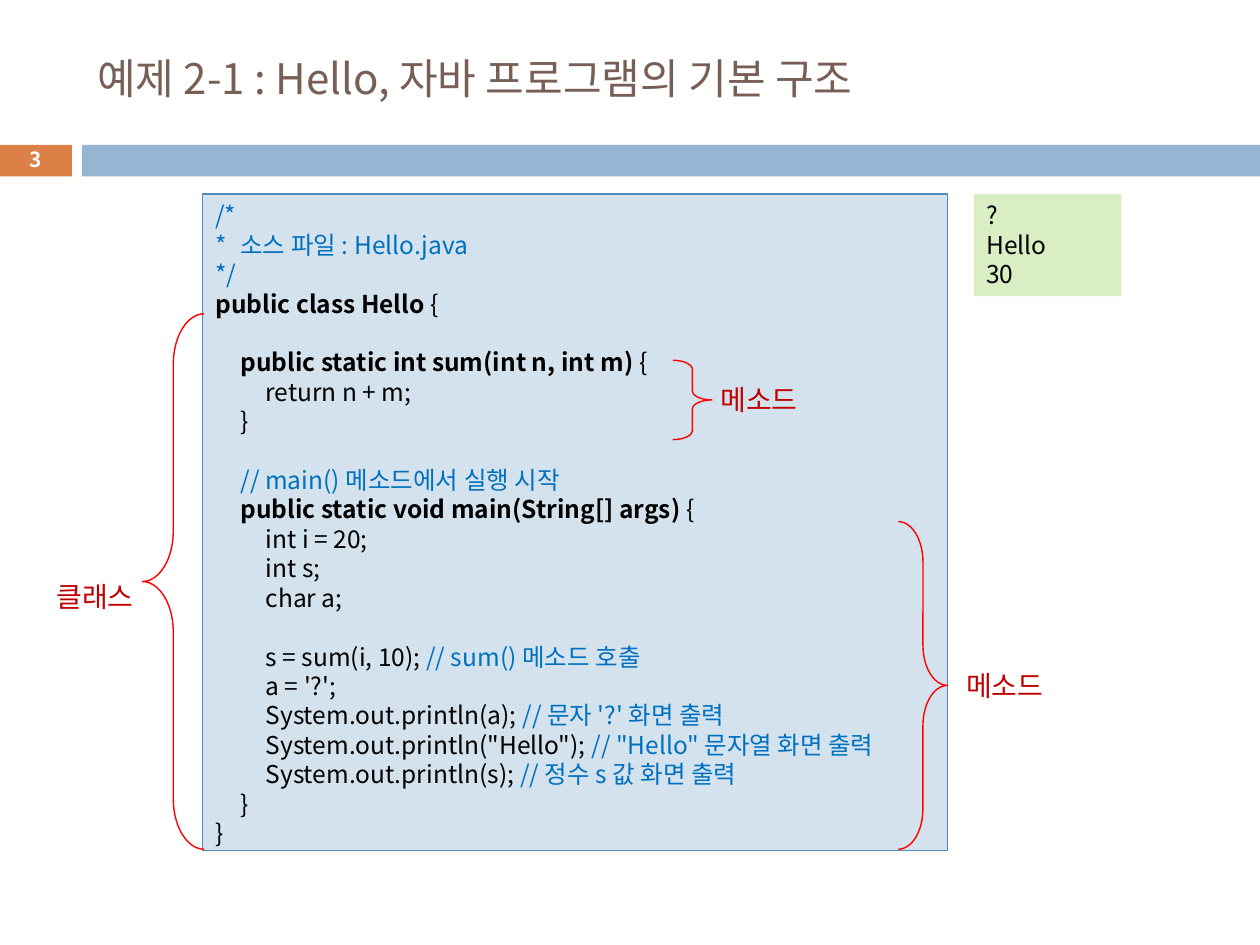
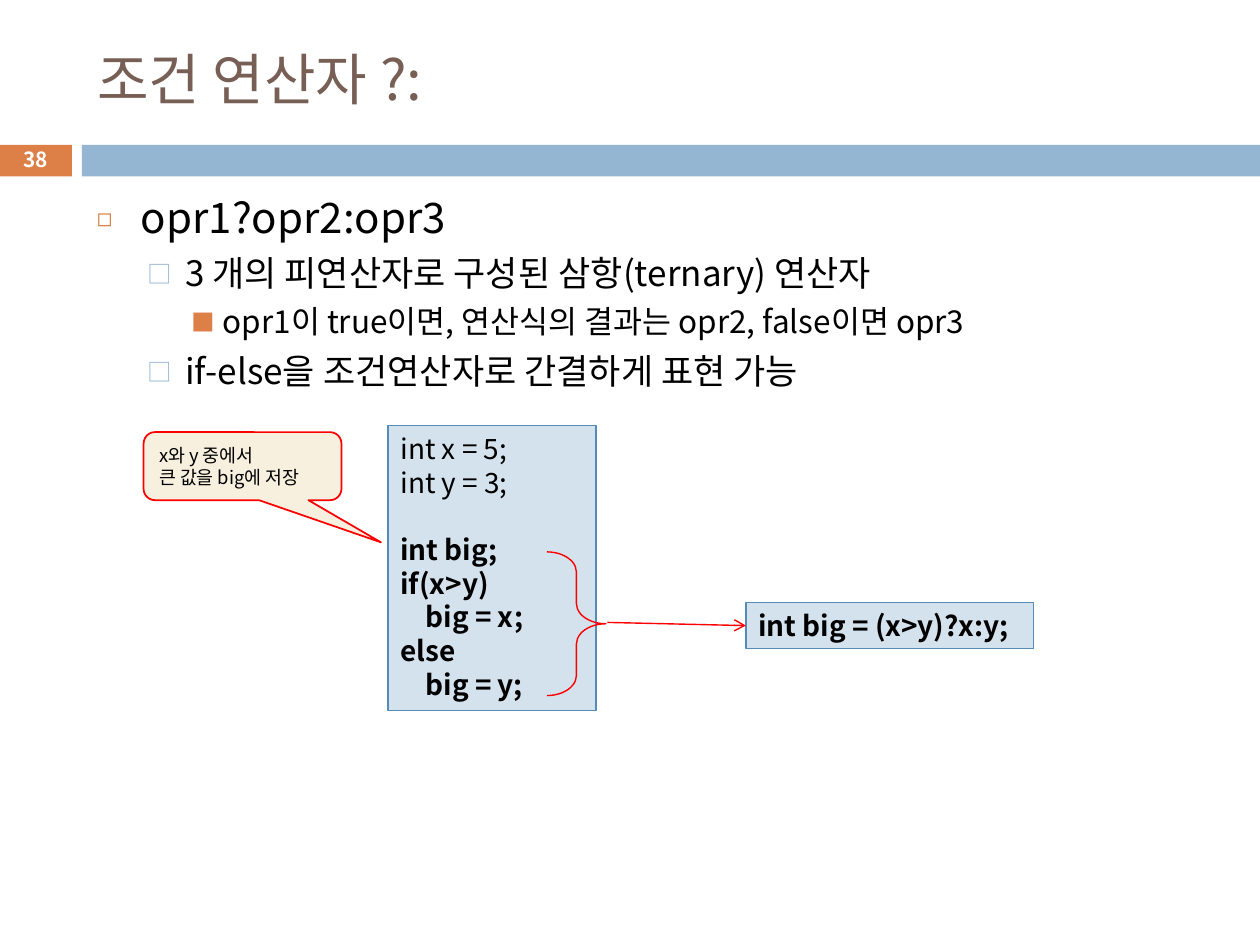
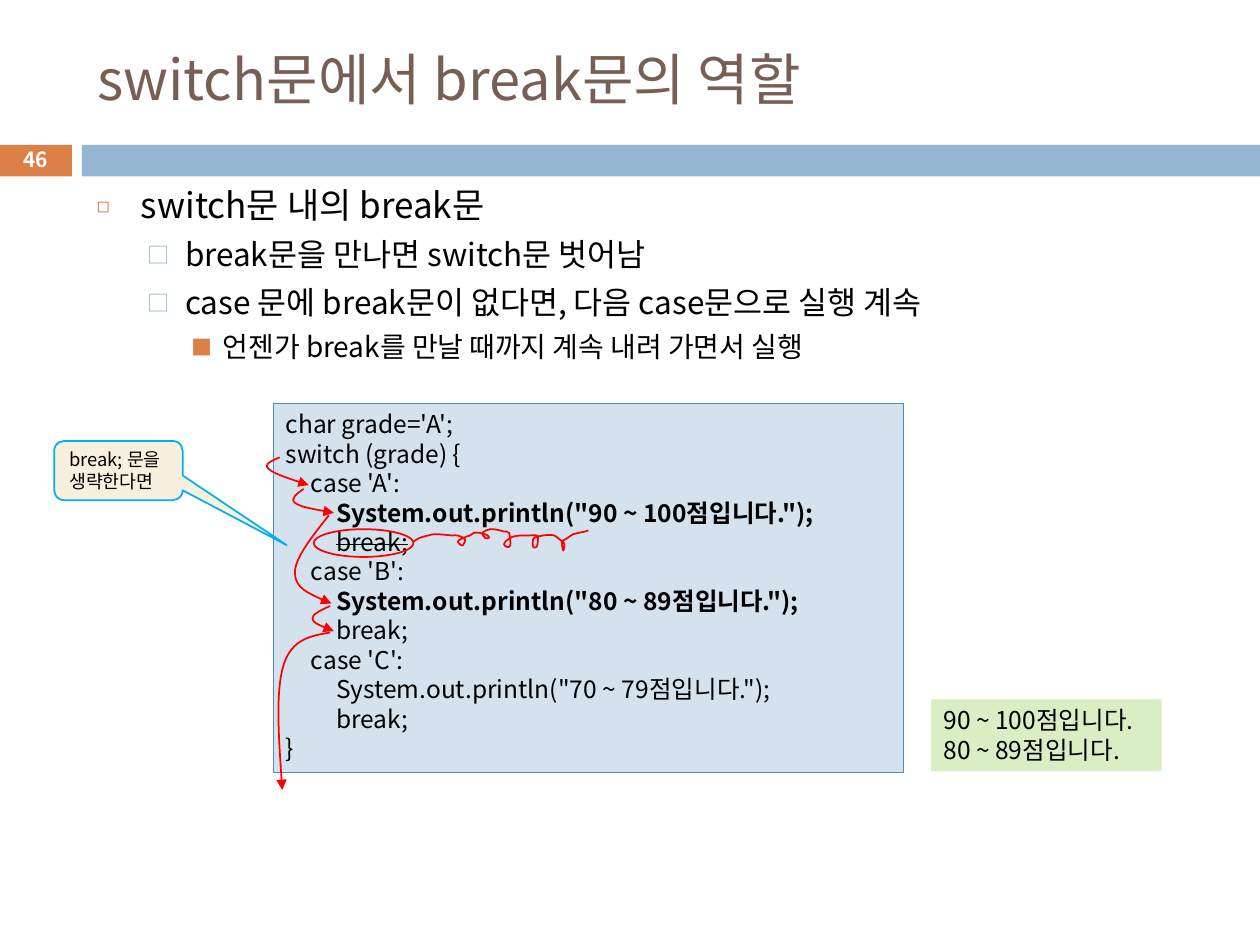
from dataclasses import dataclass
from typing import NamedTuple, Optional, Sequence, Union

from lxml.etree import SubElement
from pptx import Presentation
from pptx.dml.color import RGBColor
from pptx.enum.shapes import MSO_CONNECTOR as Connector, MSO_SHAPE as Shape
from pptx.enum.text import MSO_ANCHOR as Anchor, MSO_AUTO_SIZE as AutoSize, PP_ALIGN as Align
from pptx.oxml.ns import qn
from pptx.util import Inches, Pt

FONT = "Noto Sans CJK KR"
BLACK, WHITE, RED, SKY = "000000", "FFFFFF", "FF0000", "00B0F0"
ORANGE, BAND_BLUE, TITLE_BROWN = "DD8047", "94B6D2", "775F55"
CODE_FILL, CODE_EDGE, OUTPUT_FILL, CALLOUT_FILL = "D4E2ED", "558BB8", "DAEEC4", "F7F0DE"
COMMENT_BLUE, LABEL_RED = "0070C0", "C00000"
TAB_STEP = 0.2
LINE_HEIGHT = 1.2


class Piece(NamedTuple):
    text: str
    color: str = BLACK
    bold: bool = False
    strike: bool = False


Line = Union[str, Sequence[Piece]]


class Box(NamedTuple):
    left: float
    top: float
    width: float
    height: float


class Level(NamedTuple):
    indent: float
    hanging: float
    space: float
    bullet: str
    color: str
    percent: int


class Point(NamedTuple):
    level: int
    size: float
    text: str


@dataclass
class Brace:
    box: Box
    curve: float
    kind: Shape = Shape.RIGHT_BRACE
    rotation: float = 0


@dataclass
class Callout:
    box: Box
    tip: tuple[float, float]
    edge: str
    lines: Sequence[str]


LEVELS = [
    Level(0.35, 0.35, 7, "◻", ORANGE, 60),
    Level(0.7, 0.3, 5.5, "□", BAND_BLUE, 70),
    Level(1, 0.25, 5, "■", ORANGE, 75),
]


def rgb(value: str) -> RGBColor:
    return RGBColor.from_string(value)


def note(text: str) -> Piece:
    return Piece(text, COMMENT_BLUE)


def strong(text: str) -> Piece:
    return Piece(text, bold=True)


def emu(box: Box) -> list:
    return [Inches(length) for length in box]


def add_piece(paragraph, piece: Piece, size: float) -> None:
    run = paragraph.add_run()
    run.text = piece.text
    run.font.size = Pt(size)
    run.font.name = FONT
    run.font.bold = piece.bold
    run.font.color.rgb = rgb(piece.color)
    properties = run._r.get_or_add_rPr()
    properties.set("kern", "0")
    SubElement(properties, qn("a:ea")).set("typeface", FONT)
    if piece.strike:
        properties.set("strike", "sngStrike")


def set_tabs(paragraph) -> None:
    stops = SubElement(paragraph._p.get_or_add_pPr(), qn("a:tabLst"))
    for number in (1, 2):
        stop = SubElement(stops, qn("a:tab"))
        stop.set("pos", str(Inches(TAB_STEP * number)))
        stop.set("algn", "l")


def write(frame, lines: Sequence[Line], size: float, align: Align = Align.LEFT,
          anchor: Anchor = Anchor.TOP) -> None:
    frame.word_wrap = True
    frame.vertical_anchor = anchor
    skipped = 0
    paragraph = frame.paragraphs[0]
    for index, line in enumerate(lines):
        if not line:
            skipped += 1
            continue
        if index:
            paragraph = frame.add_paragraph()
        paragraph.alignment = align
        if skipped:
            paragraph.space_before = Pt(skipped * size * LINE_HEIGHT)
            skipped = 0
        pieces = [Piece(line)] if isinstance(line, str) else line
        if any("\t" in piece.text for piece in pieces):
            set_tabs(paragraph)
        for piece in pieces:
            add_piece(paragraph, piece, size)


def paint(shape, fill: Optional[str] = None, edge: Optional[str] = None, width: float = 1) -> None:
    shape.shadow.inherit = False
    if fill:
        shape.fill.solid()
        shape.fill.fore_color.rgb = rgb(fill)
    else:
        shape.fill.background()
    if edge:
        shape.line.color.rgb = rgb(edge)
        shape.line.width = Pt(width)
    else:
        shape.line.fill.background()


def add_panel(slide, box: Box, fill: Optional[str] = None, edge: Optional[str] = None,
              width: float = 1, kind: Shape = Shape.RECTANGLE):
    panel = slide.shapes.add_shape(kind, *emu(box))
    paint(panel, fill, edge, width)
    return panel


def add_code(slide, box: Box, lines: Sequence[Line], size: float):
    panel = add_panel(slide, box, CODE_FILL, CODE_EDGE, 0.75)
    write(panel.text_frame, lines, size)
    return panel


def add_output(slide, box: Box, lines: Sequence[str]) -> None:
    write(add_panel(slide, box, OUTPUT_FILL).text_frame, lines, 14)


def add_label(slide, box: Box, text: str) -> None:
    frame = slide.shapes.add_textbox(*emu(box)).text_frame
    write(frame, [[Piece(text, LABEL_RED)]], 16)
    frame.word_wrap = False
    frame.auto_size = AutoSize.SHAPE_TO_FIT_TEXT


def add_brace(slide, brace: Brace) -> None:
    shape = add_panel(slide, brace.box, edge=RED, width=0.79, kind=brace.kind)
    shape.adjustments[0] = brace.curve
    shape.rotation = brace.rotation


def add_callout(slide, callout: Callout) -> None:
    shape = add_panel(slide, callout.box, CALLOUT_FILL, callout.edge,
                      kind=Shape.ROUNDED_RECTANGULAR_CALLOUT)
    shape.adjustments[0], shape.adjustments[1] = callout.tip
    write(shape.text_frame, callout.lines, 10.5, anchor=Anchor.MIDDLE)


def add_outline(slide, box: Box, points: Sequence[Point]) -> None:
    frame = slide.shapes.add_textbox(*emu(box)).text_frame
    frame.word_wrap = True
    for index, point in enumerate(points):
        level = LEVELS[point.level]
        paragraph = frame.add_paragraph() if index else frame.paragraphs[0]
        paragraph.level = point.level
        paragraph.space_before = Pt(level.space)
        properties = paragraph._p.get_or_add_pPr()
        properties.set("marL", str(Inches(level.indent)))
        properties.set("indent", str(-Inches(level.hanging)))
        color = SubElement(properties, qn("a:buClr"))
        SubElement(color, qn("a:srgbClr")).set("val", level.color)
        SubElement(properties, qn("a:buSzPct")).set("val", str(level.percent * 1000))
        SubElement(properties, qn("a:buFont")).set("typeface", FONT)
        SubElement(properties, qn("a:buChar")).set("char", level.bullet)
        add_piece(paragraph, Piece(point.text), point.size)


def add_head(line, kind: str) -> None:
    SubElement(line.line._get_or_add_ln(), qn("a:tailEnd")).set("type", kind)


def controls(knots: Sequence[tuple]) -> list:
    last = len(knots) - 1

    def handle(i: int, side: int) -> list:
        if 0 < i < last:
            return [k + side * (after - before) / 6
                    for k, before, after in zip(knots[i], knots[i - 1], knots[i + 1])]
        return [(k + c) / 2 for k, c in zip(knots[i], handle(i + side, -side))]

    return [(handle(i, 1), handle(i + 1, -1)) for i in range(last)]


def add_curve(slide, knots: Sequence[tuple], head: Optional[str] = None) -> None:
    spots = [tuple(map(Inches, knot)) for knot in knots]
    builder = slide.shapes.build_freeform(*spots[0])
    builder.add_line_segments(spots[1:], close=False)
    curve = builder.convert_to_shape()
    segments = list(curve._element.iter(qn("a:lnTo")))
    for segment, pair, end in zip(segments, controls(spots), spots[1:]):
        segment.tag = qn("a:cubicBezTo")
        segment.clear()
        for x, y in (*pair, end):
            corner = SubElement(segment, qn("a:pt"))
            corner.set("x", str(round(x - curve.left)))
            corner.set("y", str(round(y - curve.top)))
    paint(curve, edge=RED)
    if head:
        add_head(curve, head)


def share_bands(deck, slide) -> None:
    for box, color in (
        (Box(-0.01, 1.15, 0.58, 0.25), ORANGE),
        (Box(0.65, 1.15, 9.35, 0.25), BAND_BLUE),
    ):
        band = add_panel(slide, box, color)
        deck.slide_master.shapes._spTree.append(band._element)


def add_page(deck, title: str, title_size: float, number: int):
    slide = deck.slides.add_slide(deck.slide_layouts[5])
    heading = slide.shapes.title
    heading.left, heading.top, heading.width, heading.height = emu(Box(0.67, 0.25, 8.92, 0.74))
    write(heading.text_frame, [[Piece(title, TITLE_BROWN)]], title_size, anchor=Anchor.MIDDLE)
    page = slide.shapes.add_textbox(*emu(Box(-0.01, 1.13, 0.58, 0.27)))
    write(page.text_frame, [[Piece(str(number), WHITE, bold=True)]], 11.9,
          Align.CENTER, Anchor.MIDDLE)
    return slide


def build_hello(deck) -> None:
    slide = add_page(deck, "예제 2-1 : Hello, 자바 프로그램의 기본 구조", 24, 3)
    share_bands(deck, slide)
    add_code(slide, Box(1.61, 1.54, 5.91, 5.21), [
        [note("/*")],
        [note("*\t소스 파일 : Hello.java")],
        [note("*/")],
        [strong("public class Hello "), Piece("{")],
        "",
        [strong("\tpublic static int sum(int n, int m) "), Piece("{")],
        "\t\treturn n + m;",
        "\t}",
        "",
        [note("\t// main() 메소드에서 실행 시작")],
        [strong("\tpublic static void main(String[] args) "), Piece("{")],
        "\t\tint i = 20;",
        "\t\tint s;",
        "\t\tchar a;",
        "",
        [Piece("\t\ts = sum(i, 10); "), note("// sum() 메소드 호출")],
        "\t\ta = '?';",
        [Piece("\t\tSystem.out.println(a); "), note("// 문자 '?' 화면 출력")],
        [Piece('\t\tSystem.out.println("Hello"); '), note('// "Hello" 문자열 화면 출력')],
        [Piece("\t\tSystem.out.println(s); "), note("// 정수 s 값 화면 출력")],
        "\t}",
        "}",
    ], 14)
    add_label(slide, Box(5.62, 2.99, 0.88, 0.37), "메소드")
    add_label(slide, Box(7.57, 5.26, 0.88, 0.37), "메소드")
    add_label(slide, Box(0.35, 4.55, 0.95, 0.37), "클래스")
    add_output(slide, Box(7.73, 1.54, 1.17, 0.81), ["?", "Hello", "30"])
    for brace in (
        Brace(Box(5.34, 2.86, 0.31, 0.63), 0.23),
        Brace(Box(7.13, 4.14, 0.39, 2.6), 0.82),
        Brace(Box(1.13, 2.49, 0.49, 4.25), 0.82, rotation=180),
    ):
        add_brace(slide, brace)


def build_conditional(deck) -> None:
    slide = add_page(deck, "조건 연산자 ?:", 32, 38)
    add_outline(slide, Box(0.67, 1.47, 8.92, 5.51), [
        Point(0, 24, "opr1?opr2:opr3"),
        Point(1, 20, "3 개의 피연산자로 구성된 삼항(ternary) 연산자"),
        Point(2, 18, "opr1이 true이면, 연산식의 결과는 opr2, false이면 opr3"),
        Point(1, 20, "if-else을 조건연산자로 간결하게 표현 가능"),
    ])
    add_code(slide, Box(3.08, 3.38, 1.65, 2.26), [
        "int x = 5;",
        "int y = 3;",
        "",
        *([strong(line)] for line in ("int big;", "if(x>y)", "\tbig = x;", "else", "\tbig = y;")),
    ], 16)
    short_form = add_code(slide, Box(5.92, 4.78, 2.28, 0.37), [[strong("int big = (x>y)?x:y;")]], 16)
    add_brace(slide, Brace(Box(4.34, 4.38, 0.47, 1.14), 0.34, Shape.LEFT_BRACE, 180))
    arrow = slide.shapes.add_connector(
        Connector.STRAIGHT, Inches(4.82), Inches(4.94), Inches(5.92), Inches(4.96))
    arrow.end_connect(short_form, 1)
    arrow.line.color.rgb = rgb(RED)
    arrow.line.width = Pt(0.79)
    add_head(arrow, "arrow")
    SubElement(arrow._element.spPr, qn("a:effectLst"))
    add_callout(slide, Callout(Box(1.14, 3.43, 1.57, 0.54), (0.7, 1.12), RED,
                               ["x와 y 중에서", "큰 값을 big에 저장"]))


def build_switch(deck) -> None:
    slide = add_page(deck, "switch문에서 break문의 역할", 32, 46)
    add_code(slide, Box(2.17, 3.2, 5, 2.93), [
        "char grade='A';",
        "switch (grade) {",
        "\tcase 'A':",
        [strong('\t\tSystem.out.println("90 ~ 100점입니다.");')],
        [Piece("\t\t"), Piece("break;", strike=True)],
        "\tcase 'B':",
        [strong('\t\tSystem.out.println("80 ~ 89점입니다.");')],
        "\t\tbreak;",
        "\tcase 'C':",
        '\t\tSystem.out.println("70 ~ 79점입니다.");',
        "\t\tbreak;",
        "}",
    ], 14)
    add_panel(slide, Box(2.49, 4.2, 0.79, 0.22), edge=RED, kind=Shape.OVAL)
    add_curve(slide, [
        (3.28, 4.3), (3.33, 4.27), (3.4, 4.25), (3.46, 4.24), (3.59, 4.25), (3.63, 4.25),
        (3.69, 4.28), (3.67, 4.33), (3.64, 4.31), (3.64, 4.29), (3.7, 4.26), (3.73, 4.25),
        (3.76, 4.23), (3.81, 4.23), (3.87, 4.25), (3.88, 4.27), (3.85, 4.27), (3.83, 4.23),
        (3.89, 4.2), (3.97, 4.21), (4, 4.22), (4.04, 4.23), (4.05, 4.33), (4.02, 4.34),
        (4, 4.32), (4.01, 4.3), (4.07, 4.26), (4.14, 4.25), (4.19, 4.25), (4.26, 4.25),
        (4.27, 4.27), (4.26, 4.34), (4.23, 4.34), (4.23, 4.29), (4.24, 4.27), (4.31, 4.25),
        (4.4, 4.25), (4.45, 4.29), (4.47, 4.3), (4.48, 4.32), (4.47, 4.37), (4.46, 4.3),
        (4.49, 4.28), (4.55, 4.24), (4.59, 4.23), (4.64, 4.22), (4.67, 4.21),
    ])
    add_outline(slide, Box(0.67, 1.41, 8.92, 2.19), [
        Point(0, 20, "switch문 내의 break문"),
        Point(1, 18, "break문을 만나면 switch문 벗어남"),
        Point(1, 18, "case 문에 break문이 없다면, 다음 case문으로 실행 계속"),
        Point(2, 16, "언젠가 break를 만날 때까지 계속 내려 가면서 실행"),
    ])
    add_output(slide, Box(7.39, 5.55, 1.83, 0.57), ["90 ~ 100점입니다.", "80 ~ 89점입니다."])
    for flow in (
        [(2.22, 3.63), (2.13, 3.72), (2.45, 3.85)],
        [(2.41, 3.88), (2.34, 3.99), (2.65, 4.07)],
        [(2.61, 4.09), (2.34, 4.55), (2.63, 4.79)],
        [(2.62, 4.81), (2.48, 4.91), (2.65, 5.01)],
        [(2.62, 5.02), (2.25, 5.28), (2.24, 6.27)],
    ):
        add_curve(slide, flow, "triangle")
    add_callout(slide, Callout(Box(0.43, 3.5, 1.02, 0.47), (1.31, 1.26), SKY,
                               ["break; 문을", "생략한다면"]))


def main() -> None:
    deck = Presentation()
    deck.slide_width, deck.slide_height = Inches(10), Inches(7.5)
    for build in (build_hello, build_conditional, build_switch):
        build(deck)
    deck.save("out.pptx")


if __name__ == "__main__":
    main()
